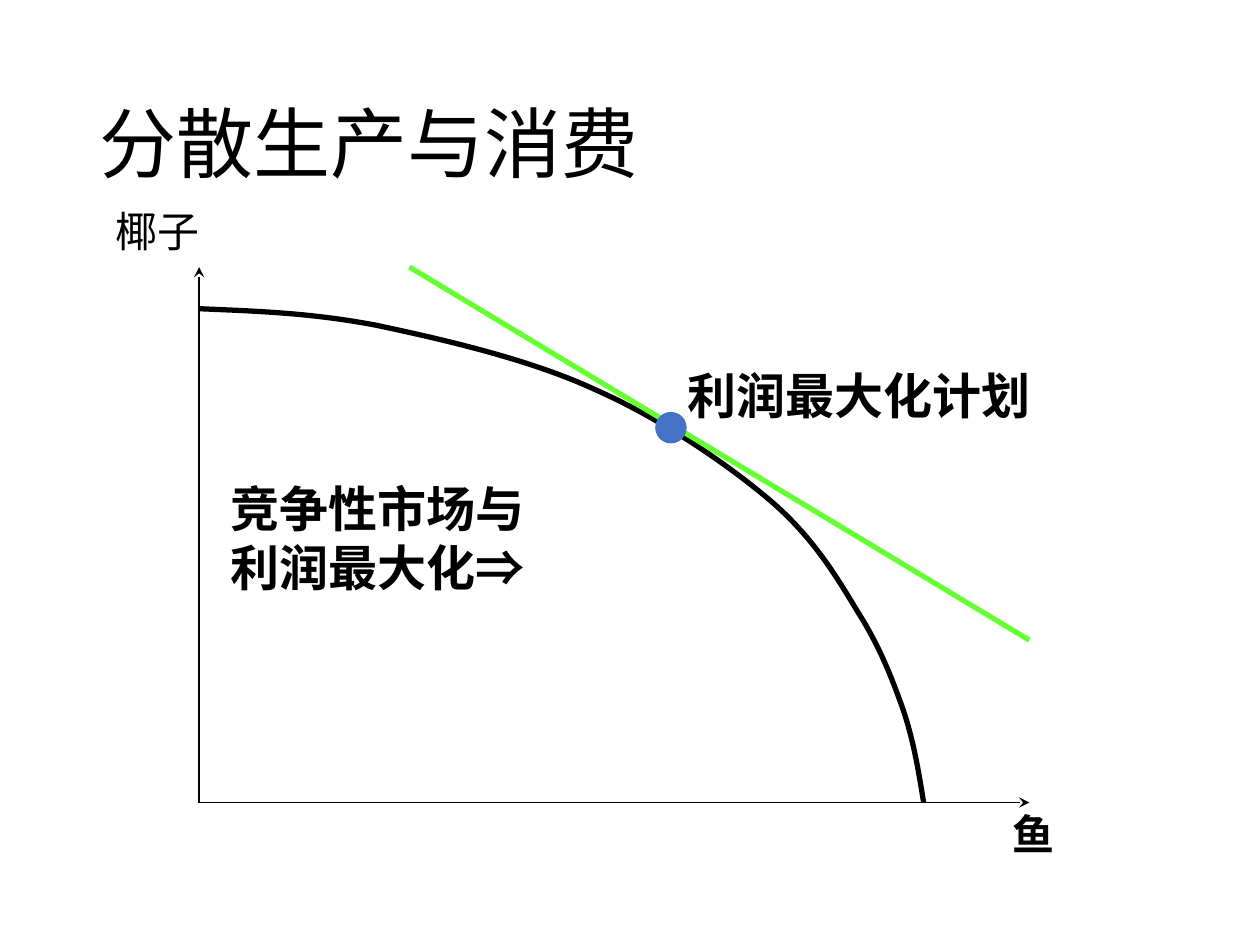
from lxml.etree import SubElement as Sub
from pptx import Presentation
from pptx.dml.color import RGBColor as RGB
from pptx.enum.shapes import MSO_CONNECTOR as Link, MSO_SHAPE as Kind
from pptx.enum.text import MSO_ANCHOR as Anchor
from pptx.oxml.ns import qn
from pptx.util import Pt

BLACK, GREEN, BLUE = "000000", "66FF33", "4472C4"


def paint(fill, tint):
    fill.solid()
    fill.fore_color.rgb = RGB.from_string(tint)


deck = Presentation()
deck.slide_width, deck.slide_height = Pt(720), Pt(540)
slide = deck.slides.add_slide(deck.slide_layouts[6])
shapes = slide.shapes

# Production frontier: a start point, then three points per Bézier segment
start = (113.8, 176.4)
bends = [
    (145.4, 177.8), (176.4, 178.6), (214.6, 185.8),
    (252, 193.7), (302.4, 205.2), (339.8, 222.5),
    (377.3, 239), (415.4, 265), (439.9, 285.8),
    (465.1, 307.4), (478.1, 329.8), (490.3, 349.9),
    (502.6, 369.4), (509, 385.9), (515.5, 403.9),
    (522, 422.6), (524.9, 440.6), (527.8, 458.6),
]
pen = shapes.build_freeform(Pt(start[0]), Pt(start[1]))
pen.add_line_segments([(Pt(x), Pt(y)) for x, y in bends], close=False)
curve = pen.convert_to_shape()
curve.shadow.inherit = False
curve.fill.background()
paint(curve.line.fill, BLACK)
curve.line.width = Pt(3)

# Turn each three straight steps into one cubic curve
steps = list(curve.element.iter(qn("a:lnTo")))
route = steps[0].getparent()
for i in range(0, len(steps), 3):
    cubic = Sub(route, qn("a:cubicBezTo"))
    for step in steps[i:i + 3]:
        cubic.append(step[0])
        route.remove(step)

# Axes and the price line
left, base, top, right = 113.8, 458.6, 152.6, 588.2
lines = [
    ((left, base, left, top), BLACK, 1, True),
    ((left, base, right, base), BLACK, 1, True),
    ((234, top, right, 365.8), GREEN, 3, False),
]
for ends, tint, width, arrow in lines:
    line = shapes.add_connector(Link.STRAIGHT, *map(Pt, ends))
    paint(line.line.fill, tint)
    line.line.width = Pt(width)
    if arrow:
        Sub(line.line._get_or_add_ln(), qn("a:tailEnd"), type="stealth")
    Sub(line.element.spPr, qn("a:effectLst"))

# Tangent point
dot = shapes.add_shape(Kind.OVAL, Pt(374.4), Pt(235.4), Pt(18), Pt(18))
dot.shadow.inherit = False
paint(dot.fill, BLUE)
dot.line.fill.background()

# Title and labels
title = {"name": "Calibri", "size": Pt(44)}
axis = {"name": "Times New Roman", "size": Pt(24)}
note = {"name": "Arial", "size": Pt(28), "bold": True}
texts = [
    (["分散生产与消费"], (49.7, 28.8, 620.6, 104.4), title),
    (["鱼"], (571.7, 458.6, 38.9, 36.7), {**axis, "bold": True}),
    (["椰子"], (59, 113.8, 63.4, 36.7), axis),
    (["利润最大化计划"], (385.9, 205.2, 213.1, 41), note),
    (["竞争性市场与", "利润最大化⇒"], (124.6, 270, 185, 74.9), note),
]
for rows, spot, style in texts:
    frame = shapes.add_textbox(*map(Pt, spot)).text_frame
    frame.word_wrap = style is title
    if style is title:
        frame.vertical_anchor = Anchor.MIDDLE
        frame.paragraphs[0].line_spacing = 0.9
    frame.text = "\n".join(rows)
    for para in frame.paragraphs:
        for key, value in style.items():
            setattr(para.font, key, value)
        paint(para.font.fill, BLACK)

deck.save("out.pptx")
